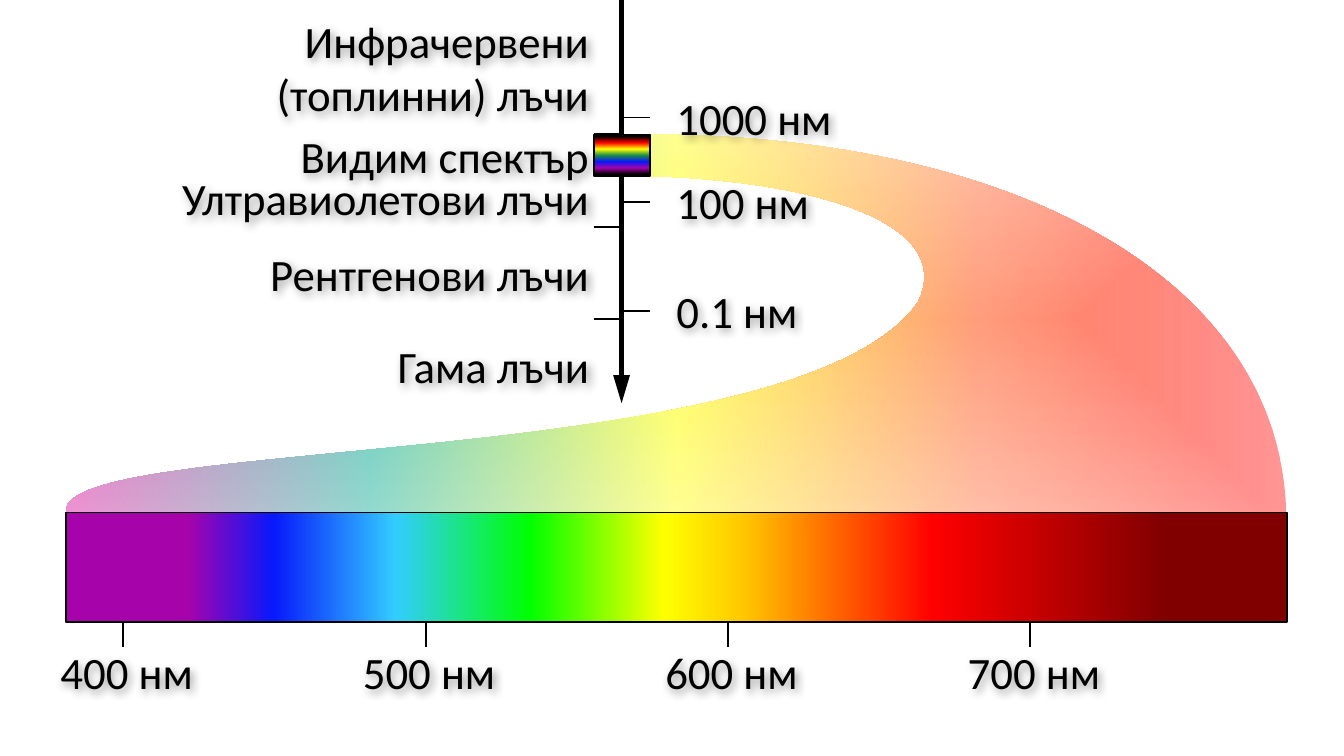
from pptx import Presentation
from pptx.dml.color import RGBColor as RGB
from pptx.enum.shapes import MSO_CONNECTOR as CONN, MSO_SHAPE as SHAPE
from pptx.enum.text import MSO_ANCHOR as ANCHOR, PP_ALIGN as ALIGN
from pptx.oxml import parse_xml
from pptx.oxml.ns import nsdecls, qn
from pptx.util import Inches, Pt

COLORS = {"ink": "000000", "white": "FFFFFF", "violet": "A603AB", "blue": "0819FB",
          "sky": "33CCFF", "lime": "00FF00", "green": "1A8D48", "yellow": "FFFF00",
          "gold": "FFCC00", "orange": "FF6633", "red": "FF0000", "maroon": "800000",
          "teal": "01A78F", "magenta": "D60093"}

# Gradient stops: position in percent, colour, optional opacity in percent
FAN = [(0, "red"), (25, "orange"), (50, "yellow"), (75, "teal"), (100, "magenta")]
VEIL = [(1, "white", 35), (100, "white", 59)]
BAND = [(5, "ink"), (20, "violet"), (35, "blue"), (50, "green"), (65, "yellow"),
        (80, "red"), (95, "ink")]
SPECTRUM = [(10, "violet"), (17, "blue"), (27, "sky"), (38, "lime"), (49, "yellow"),
            (55, "gold"), (71, "red"), (90, "maroon")]


class Diagram:
    """Slide on a grid of 120 columns by 90 rows."""
    font, size, inset = "Calibri", Pt(24), Inches(0.2)

    def __init__(self, prs):
        self.s = prs.slides.add_slide(prs.slide_layouts[6])
        self.col, self.row = prs.slide_width / 120, prs.slide_height / 90

    def at(self, x, y):
        return round(x * self.col), round(y * self.row)

    def gradient(self, sp, stops, angle=None):
        """Linear gradient at an angle, or one from the centre outwards."""
        gs = ""
        for pos, name, *alpha in stops:
            a = f'<a:alpha val="{alpha[0] * 1000}"/>' if alpha else ""
            gs += f'<a:gs pos="{pos * 1000}"><a:srgbClr val="{COLORS[name]}">{a}</a:srgbClr></a:gs>'
        if angle is None:
            way = ('<a:path path="shape"><a:fillToRect l="50000" t="50000" '
                   'r="50000" b="50000"/></a:path>')
        else:
            way = f'<a:lin ang="{angle * 60000}" scaled="0"/>'
        sp.fill.solid()
        solid = sp._element.spPr.find(qn("a:solidFill"))
        solid.getparent().replace(solid, parse_xml(
            f'<a:gradFill {nsdecls("a")} rotWithShape="1"><a:gsLst>{gs}</a:gsLst>{way}</a:gradFill>'))

    def outline(self, sp, width):
        sp.line.color.rgb = RGB.from_string(COLORS["ink"])
        sp.line.width = Pt(width)

    def curved(self, start, curves, stops, angle):
        """Closed outline of cubic curves, given in hundredths of an inch."""
        fb = self.s.shapes.build_freeform(*start, scale=Inches(0.01))
        fb.add_line_segments([pt for curve in curves for pt in curve], close=True)
        sp = fb.convert_to_shape()
        # Each three line segments become the handles and end of one curve
        segments = list(sp._element.iter(qn("a:lnTo")))
        for i in range(0, len(segments), 3):
            cubic = parse_xml(f'<a:cubicBezTo {nsdecls("a")}/>')
            segments[i].addprevious(cubic)
            for seg in segments[i:i + 3]:
                cubic.append(seg[0])
                seg.getparent().remove(seg)
        sp.shadow.inherit = False
        sp.line.fill.background()
        self.gradient(sp, stops, angle)

    def rect(self, x, y, w, h, stops, angle=None, turn=0, border=True):
        """Rectangle covering the given cells after its turn."""
        (left, top), (width, height) = self.at(x, y), self.at(w, h)
        if turn % 180:
            left, top = left + (width - height) // 2, top + (height - width) // 2
            width, height = height, width
        sp = self.s.shapes.add_shape(SHAPE.RECTANGLE, left, top, width, height)
        sp.rotation = turn
        sp.shadow.inherit = False
        if border:
            self.outline(sp, 1)
        else:
            sp.line.fill.background()
        self.gradient(sp, stops, angle)

    def line(self, x1, y1, x2, y2, width=1, arrow=False):
        c = self.s.shapes.add_connector(CONN.STRAIGHT, *self.at(x1, y1), *self.at(x2, y2))
        self.outline(c, width)
        if arrow:
            c.line._get_or_add_ln().append(
                parse_xml(f'<a:tailEnd {nsdecls("a")} type="triangle" len="lg"/>'))
        c._element.spPr.append(parse_xml(f'<a:effectLst {nsdecls("a")}/>'))

    def label(self, text, x, y, w, h, right=False):
        """Text with a soft shadow, inset on the side it is aligned to."""
        tb = self.s.shapes.add_textbox(*self.at(x, y), *self.at(w, h))
        tf = tb.text_frame
        tf.word_wrap = False
        tf.vertical_anchor = ANCHOR.MIDDLE
        tf.margin_left, tf.margin_right = (0, self.inset) if right else (self.inset, 0)
        tf.text = text
        for p in tf.paragraphs:
            p.alignment = ALIGN.RIGHT if right else ALIGN.LEFT
            for r in p.runs:
                r.font.name, r.font.size = self.font, self.size
                r.font.color.rgb = RGB.from_string(COLORS["ink"])
        tb._element.spPr.append(parse_xml(
            f'<a:effectLst {nsdecls("a")}><a:outerShdw blurRad="63500" dist="25400" '
            'dir="2700000" algn="tl" rotWithShape="0"><a:srgbClr val="000000">'
            '<a:alpha val="40000"/></a:srgbClr></a:outerShdw></a:effectLst>'))


def main():
    prs = Presentation()
    prs.slide_width, prs.slide_height = Inches(10), Inches(5.625)
    d = Diagram(prs)
    axis, left, right = 55.5, 53, 58

    # Fan that widens the visible band into the spectrum, under a pale veil
    d.curved((483, 100), [
        ((756, 101), (952, 208), (957, 381)),
        ((885, 427), (82, 399), (49, 380)),
        ((50, 323), (594, 352), (683, 225)),
        ((713, 163), (597, 134), (481, 131)),
        ((445, 130), (477, 109), (483, 100))], FAN, 180)
    d.rect(4, 13, 111, 50, VEIL, border=False)

    # Wavelength axis with the borders of the ray types
    d.line(axis, 0, axis, 48, width=3, arrow=True)
    for y in (16, 21, 27, 38):
        d.line(left, y, axis, y)

    # Ray types
    for text, y, h in [("Инфрачервени\n(топлинни) лъчи", 0, 16),
                       ("Видим спектър", 16, 5),
                       ("Рентгенови лъчи", 29.6, 6),
                       ("Ултравиолетови лъчи", 18, 11),
                       ("Гама лъчи", 38, 11)]:
        d.label(text, 14, y, 41, h, right=True)

    # Wavelengths on the axis
    for text, y in [("1000 нм", 14), ("100 нм", 24), ("0.1 нм", 37)]:
        d.line(axis, y, right, y)
        d.label(text, right, y - 3, 17, 6)

    # Visible band and its enlarged spectrum
    d.rect(left, 16, right - left, 5, BAND, 90, turn=180)
    d.rect(5.9, 61, 109, 13, SPECTRUM, 90, turn=270)

    # Scale below the spectrum
    for i in range(4):
        x = 11 + 27 * i
        d.line(x, 77, x, 74)
        d.label(f"{400 + 100 * i} нм", x - 8, 77, 16, 6)

    prs.save("out.pptx")


if __name__ == "__main__":
    main()
